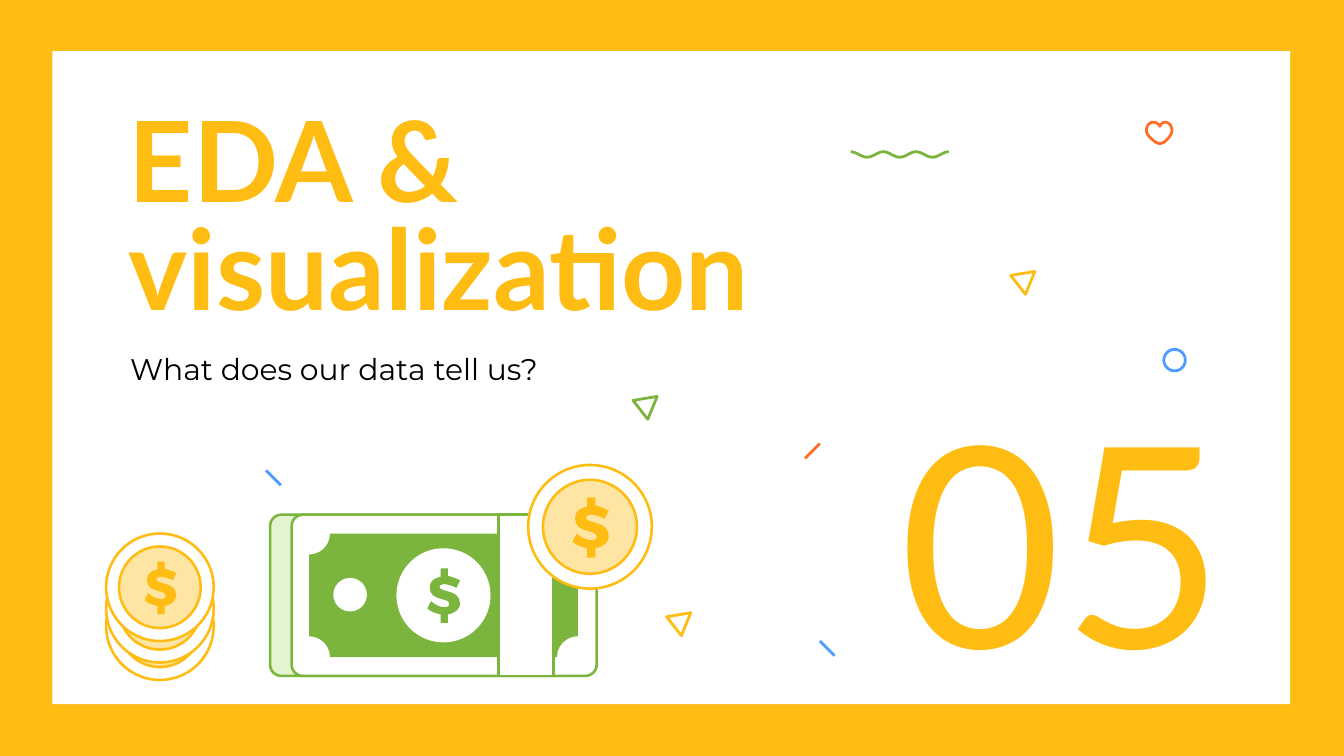
import math
from dataclasses import dataclass

import pptx
import pptx.dml.color
import pptx.enum.shapes
import pptx.enum.text
import pptx.oxml.ns
import pptx.util
from lxml import etree

Inches = pptx.util.Inches
Preset = pptx.enum.shapes.MSO_SHAPE
Align = pptx.enum.text.PP_ALIGN
Anchor = pptx.enum.text.MSO_ANCHOR


@dataclass(frozen=True)
class Theme:
    yellow: str = "FFBC12"
    cream: str = "FFE5A3"
    green: str = "7CB53E"
    mint: str = "E3F5D0"
    orange: str = "FF6F29"
    blue: str = "4D9DFF"
    white: str = "FFFFFF"
    black: str = "000000"
    title_size: int = 60
    number_size: int = 150
    subtitle_size: int = 16
    confetti_line: float = 1.5
    money_line: float = 1.4


theme = Theme()


def paint(shape, fill=None, line=None, width=theme.money_line):
    shape.shadow.inherit = False
    if fill:
        shape.fill.solid()
        shape.fill.fore_color.rgb = pptx.dml.color.RGBColor.from_string(fill)
    else:
        shape.fill.background()
    if line:
        shape.line.color.rgb = pptx.dml.color.RGBColor.from_string(line)
        shape.line.width = pptx.util.Pt(width)
    else:
        shape.line.fill.background()


def trace(steps, left=0, top=0, scale=1, closed=True):
    points = [steps[0]]
    for step in steps[1:]:
        if len(step) == 2:
            points.append(step)
            continue
        knots = [points[-1], step[0:2], step[2:4], step[4:6]]
        for t in (n / 8 for n in range(1, 9)):
            weights = [math.comb(3, k) * t**k * (1 - t) ** (3 - k) for k in range(4)]
            points.append(tuple(sum(w * knot[axis] for w, knot in zip(weights, knots)) for axis in (0, 1)))
    places = [(Inches(left + scale * x), Inches(top + scale * y)) for x, y in points]
    builder = page.shapes.build_freeform(*places[0])
    builder.add_line_segments(places[1:], close=closed)
    return builder.convert_to_shape()


deck = pptx.Presentation()
deck.slide_width = Inches(10)
deck.slide_height = Inches(10 * 9 / 16)
page = deck.slides.add_slide(deck.slide_layouts[6])

for place, color in [((-0.06, -0.02, 10.12, 5.67), theme.yellow), ((0.39, 0.38, 9.21, 4.86), theme.white)]:
    paint(page.shapes.add_shape(Preset.RECTANGLE, *map(Inches, place)), color)

for x1, y1, x2, y2, color in [
    (6.1, 3.3, 5.99, 3.41, theme.orange),
    (1.98, 3.5, 2.09, 3.61, theme.blue),
    (6.1, 4.77, 6.21, 4.88, theme.blue),
]:
    dash = page.shapes.add_connector(
        pptx.enum.shapes.MSO_CONNECTOR.STRAIGHT, *map(Inches, (x1, y1, x2, y2))
    )
    dash.line.color.rgb = pptx.dml.color.RGBColor.from_string(color)
    dash.line.width = pptx.util.Pt(theme.confetti_line)
    etree.SubElement(dash._element.spPr, pptx.oxml.ns.qn("a:effectLst"))

triangle = [(0.18, 0), (0, 0.03), (0.11, 0.17)]
for left, top, color in [(7.52, 2.02, theme.yellow), (4.96, 4.56, theme.yellow), (4.71, 2.95, theme.green)]:
    paint(trace(triangle, left, top), line=color, width=theme.confetti_line)

wave = [(0.73 * n / 72, 0.02 - 0.02 * math.cos(math.tau * n / 24)) for n in range(73)]
paint(trace(wave, 6.33, 1.13, closed=False), line=theme.green, width=theme.confetti_line)

heart = [
    (0.1, 0.16), (0.07, 0.15), (0, 0.1, 0, 0.07, 0, 0.06), (0, 0.03, 0.02, 0, 0.05, 0),
    (0.07, 0, 0.09, 0.01, 0.1, 0.03), (0.11, 0.01, 0.12, 0, 0.14, 0),
    (0.17, 0, 0.19, 0.03, 0.19, 0.06), (0.19, 0.07, 0.19, 0.1, 0.13, 0.15),
]
paint(trace(heart, 8.53, 0.91), line=theme.orange, width=theme.confetti_line)
ring = page.shapes.add_shape(Preset.OVAL, *map(Inches, (8.66, 2.6, 0.16, 0.16)))
paint(ring, line=theme.blue, width=theme.confetti_line)

for text, place, font, size, color, bold, align, anchor, spacing in [
    ("EDA &\nvisualization", (0.86, 0.77, 5.16, 1.77), "Lato", theme.title_size,
     theme.yellow, True, Align.LEFT, Anchor.TOP, 0.8),
    ("05", (5.38, 2.95, 3.83, 2.08), "Lato", theme.number_size,
     theme.yellow, False, Align.RIGHT, Anchor.MIDDLE, 1.0),
    ("What does our data tell us?", (0.87, 2.46, 3.88, 0.56), "Montserrat", theme.subtitle_size,
     theme.black, False, Align.LEFT, Anchor.MIDDLE, 1.0),
]:
    box = page.shapes.add_textbox(*map(Inches, place))
    frame = box.text_frame
    frame.word_wrap = True
    frame.vertical_anchor = anchor
    frame.margin_left = frame.margin_right = frame.margin_top = frame.margin_bottom = Inches(0.1)
    para = frame.paragraphs[0]
    para.text = text
    para.alignment = align
    para.line_spacing = spacing
    for span in para.runs:
        span.font.name = font
        span.font.size = pptx.util.Pt(size)
        span.font.bold = bold
        span.font.color.rgb = pptx.dml.color.RGBColor.from_string(color)

for kind, place, corner, fill, line in [
    (Preset.ROUNDED_RECTANGLE, (2.01, 3.83, 2.27, 1.2), 0.07, theme.mint, theme.green),
    (Preset.ROUNDED_RECTANGLE, (2.17, 3.83, 2.27, 1.2), 0.07, theme.white, theme.green),
    (Preset.PLAQUE, (2.3, 3.97, 2, 0.92), 0.17, theme.green, None),
    (Preset.OVAL, (2.95, 4.08, 0.7, 0.7), None, theme.white, None),
    (Preset.OVAL, (2.48, 4.3, 0.25, 0.25), None, theme.white, None),
    (Preset.RECTANGLE, (3.71, 3.83, 0.41, 1.2), None, theme.white, theme.green),
]:
    part = page.shapes.add_shape(kind, *map(Inches, place))
    if corner:
        part.adjustments[0] = corner
    paint(part, fill, line)

dollar = [
    (0.11, 0), (0.11, 0.07), (0.05, 0.08, 0.02, 0.11, 0.02, 0.16),
    (0.02, 0.27, 0.18, 0.24, 0.18, 0.29), (0.18, 0.31, 0.17, 0.32, 0.14, 0.32),
    (0.11, 0.32, 0.06, 0.3, 0.03, 0.27), (0, 0.33), (0.03, 0.36, 0.07, 0.37, 0.11, 0.38),
    (0.11, 0.45), (0.17, 0.45), (0.17, 0.38), (0.22, 0.37, 0.27, 0.34, 0.27, 0.29),
    (0.27, 0.17, 0.1, 0.2, 0.1, 0.15), (0.1, 0.14, 0.12, 0.13, 0.14, 0.13),
    (0.16, 0.13, 0.2, 0.14, 0.24, 0.16), (0.27, 0.1), (0.24, 0.08, 0.2, 0.07, 0.17, 0.06),
    (0.17, 0),
]
paint(trace(dollar, 3.18, 4.23, 0.9), theme.green)

for center_x, center_y, size in [(4.39, 3.92, 0.92), (1.19, 4.66, 0.8), (1.19, 4.53, 0.8), (1.19, 4.37, 0.8)]:
    for across, fill in [(size, theme.white), (size * 0.76, theme.cream)]:
        disc = page.shapes.add_shape(
            Preset.OVAL, *map(Inches, (center_x - across / 2, center_y - across / 2, across, across))
        )
        paint(disc, fill, theme.yellow)
    scale = size / 0.92
    paint(trace(dollar, center_x - 0.13 * scale, center_y - 0.22 * scale, scale), theme.yellow)

deck.save("out.pptx")
